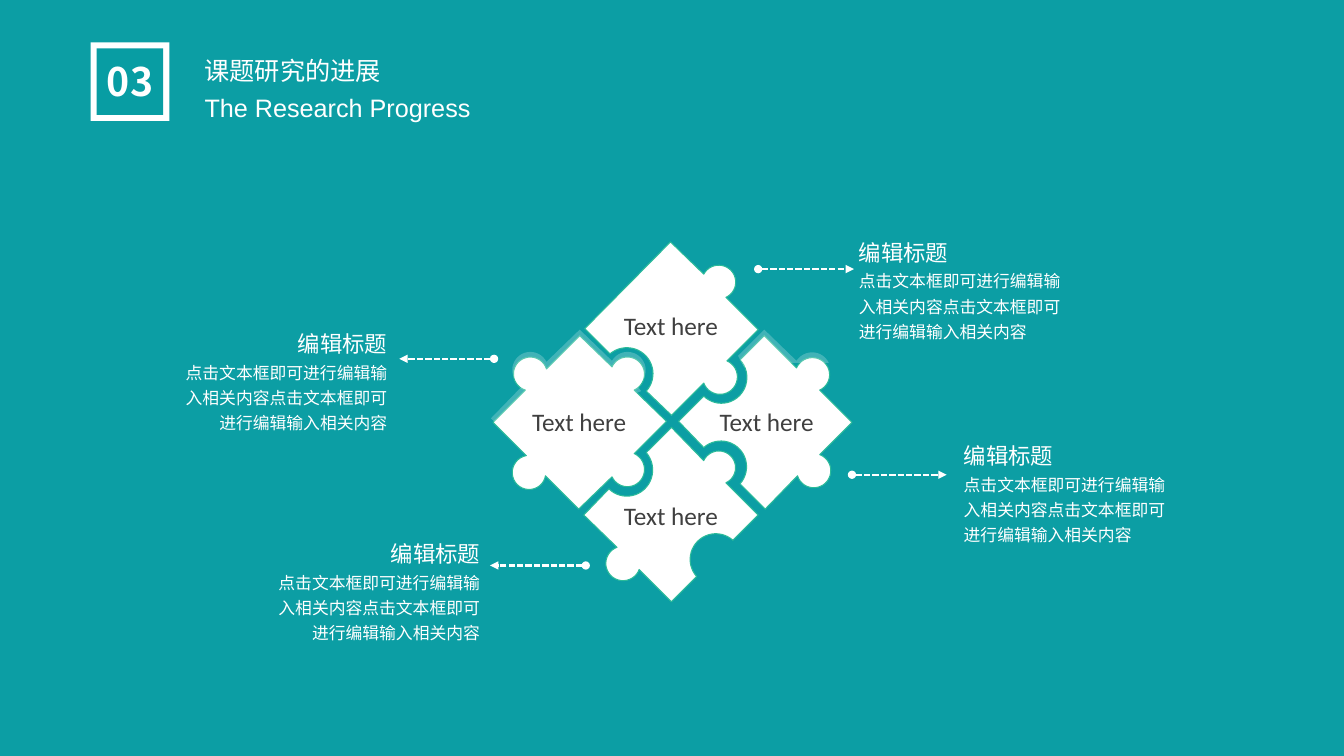
from math import atan2, cos, hypot, sin, tau
from lxml.etree import SubElement
from pptx import Presentation
from pptx.enum.dml import MSO_LINE
from pptx.enum.shapes import MSO_CONNECTOR, MSO_SHAPE
from pptx.enum.text import MSO_AUTO_SIZE, PP_ALIGN
from pptx.dml.color import RGBColor
from pptx.oxml.ns import qn
from pptx.util import Pt

PX = 9144  # 100 px to the inch
WHITE, TEAL, GREEN, GREY = "FFFFFF", "089DA3", "2BBB99", "404040"
HAN = "Noto Sans CJK SC"
LEFT, MID, RIGHT = PP_ALIGN.LEFT, PP_ALIGN.CENTER, PP_ALIGN.RIGHT
DASH, LINE, RECT = MSO_LINE.SQUARE_DOT, MSO_CONNECTOR.STRAIGHT, MSO_SHAPE.RECTANGLE
GROW = MSO_AUTO_SIZE.SHAPE_TO_FIT_TEXT
KNOB, DENT = 1, -1  # clockwise, counterclockwise
STEPS = 24


def paint(fill, hue, alpha=100):
    fill.solid()
    fill.fore_color.rgb = RGBColor.from_string(hue)
    if alpha < 100:
        tone = fill._xPr.find(".//" + qn("a:srgbClr"))
        SubElement(tone, qn("a:alpha"), val=str(alpha * 1000))


def write(text, box, size, hue=WHITE, face=HAN, align=LEFT, bold=False,
          space=None, wrap=True):
    frame = slide.shapes.add_textbox(*[v * PX for v in box]).text_frame
    frame.word_wrap = wrap
    frame.auto_size = GROW
    para = frame.paragraphs[0]
    para.alignment = align
    para.line_spacing = space
    run = para.add_run()
    run.text = text
    font = run.font
    font.size, font.bold, font.name = Pt(size), bold, face
    paint(font.fill, hue)
    SubElement(run._r.get_or_add_rPr(), qn("a:ea"), typeface=face)


deck = Presentation()
deck.slide_width, deck.slide_height = 1333 * PX, 750 * PX
slide = deck.slides.add_slide(deck.slide_layouts[6])
paint(slide.background.fill, TEAL, 98)

# Puzzle outlines: a pair is a corner, five values are an arc
# (centre x, centre y, end x, end y, turn)
right = [(734, 480), (715, 463, 698, 444, DENT), (673, 418), (698, 393),
         (715, 375, 734, 357, DENT), (758, 333), (790, 365),
         (806, 372, 813, 387, KNOB), (845, 419), (813, 451),
         (807, 467, 791, 472, KNOB), (759, 505)]
bottom = [(634, 565), (618, 559, 612, 543, KNOB), (579, 511), (604, 485),
          (621, 467, 641, 449, DENT), (666, 424), (698, 457),
          (713, 464, 720, 479, KNOB), (752, 511), (727, 536),
          (710, 555, 691, 572, DENT), (666, 597)]
top = [(641, 388), (622, 371, 605, 351, DENT), (580, 326), (665, 240),
       (698, 272), (713, 280, 720, 295, KNOB), (752, 327), (721, 358),
       (714, 374, 698, 380, KNOB), (666, 412)]
left = [(541, 472), (525, 469, 522, 452, KNOB), (489, 419), (521, 387),
        (526, 371, 542, 366, KNOB), (575, 333), (607, 364),
        (622, 371, 629, 387, KNOB), (661, 418), (629, 450),
        (622, 466, 607, 473, KNOB), (574, 505)]
# Pale shades behind the upper edges
shade_r = [(822, 360), (806, 368, 790, 358, DENT), (758, 327), (732, 353),
           (738, 364), (778, 360)]
shade_l = [(632, 383), (622, 367, 607, 358, DENT), (575, 327), (542, 359),
           (526, 367, 518, 383, DENT), (487, 415), (519, 448), (569, 415),
           (636, 388)]

for outline, alpha in ((right, 100), (bottom, 100), (top, 100), (left, 100),
                       (shade_r, 22), (shade_l, 22)):
    dots = []
    for step in outline:
        if len(step) == 2:
            dots.append(step)
            continue
        cx, cy, ex, ey, turn = step
        sx, sy = dots[-1]
        start = atan2(sy - cy, sx - cx)
        sweep = turn * (turn * (atan2(ey - cy, ex - cx) - start) % tau)
        near, far = hypot(sx - cx, sy - cy), hypot(ex - cx, ey - cy)
        for i in range(1, STEPS + 1):
            part = i / STEPS
            rad, ang = near + (far - near) * part, start + sweep * part
            dots.append((cx + rad * cos(ang), cy + rad * sin(ang)))
    dots = [(round(x * PX), round(y * PX)) for x, y in dots]
    form = slide.shapes.build_freeform(*dots[0])
    form.add_line_segments(dots[1:], close=True)
    piece = form.convert_to_shape()
    piece.shadow.inherit = False
    paint(piece.fill, WHITE, alpha)
    if alpha == 100:
        paint(piece.line.fill, GREEN)
        piece.line.width = Pt(0.75)
    else:
        piece.line.fill.background()

# Piece labels
for x, y in ((603, 303), (603, 491), (512, 398), (698, 398)):
    write("Text here", (x, y, 125, 40), 18, GREY, "Calibri", MID)

# Callouts: text edge, top, side, arrow start, arrow end, arrow height
for edge, y, side, tail, tip, mid in ((842, 232, LEFT, 752, 847, 267),
                                      (946, 434, LEFT, 845, 939, 471),
                                      (486, 531, RIGHT, 581, 486, 561),
                                      (394, 323, RIGHT, 490, 396, 356)):
    arrow = slide.shapes.add_connector(
        LINE, tail * PX, mid * PX, tip * PX, mid * PX)
    paint(arrow.line.fill, WHITE)
    arrow.line.width = Pt(1.5)
    arrow.line.dash_style = DASH
    props = arrow._element.spPr
    ends = props.find(qn("a:ln"))
    SubElement(ends, qn("a:headEnd"), type="oval")
    SubElement(ends, qn("a:tailEnd"), type="triangle")
    SubElement(props, qn("a:effectLst"))
    for text, drop, wide, high, size, space in (
            ("点击文本框即可进行编辑输入相关内容点击文本框即可进行编辑输入相关内容",
             27, 221, 86, 12, 1.25),
            ("编辑标题", 0, 117, 37, 16, None)):
        x = edge if side == LEFT else edge - wide
        write(text, (x, y + drop, wide, high), size, align=side, space=space)

# Section number and heading
for x, y, side, hue in ((90, 42, 78, WHITE), (96, 48, 66, TEAL)):
    frame = slide.shapes.add_shape(RECT, x * PX, y * PX, side * PX, side * PX)
    frame.shadow.inherit = False
    paint(frame.fill, hue)
    frame.line.fill.background()
write("03", (93, 52, 72, 57), 28, align=MID, bold=True)
write("课题研究的进展", (193, 20, 197, 62), 18, space=2.0, wrap=False)
write("The Research Progress", (193, 87, 549, 40), 18, face="Arial")

deck.save("out.pptx")
